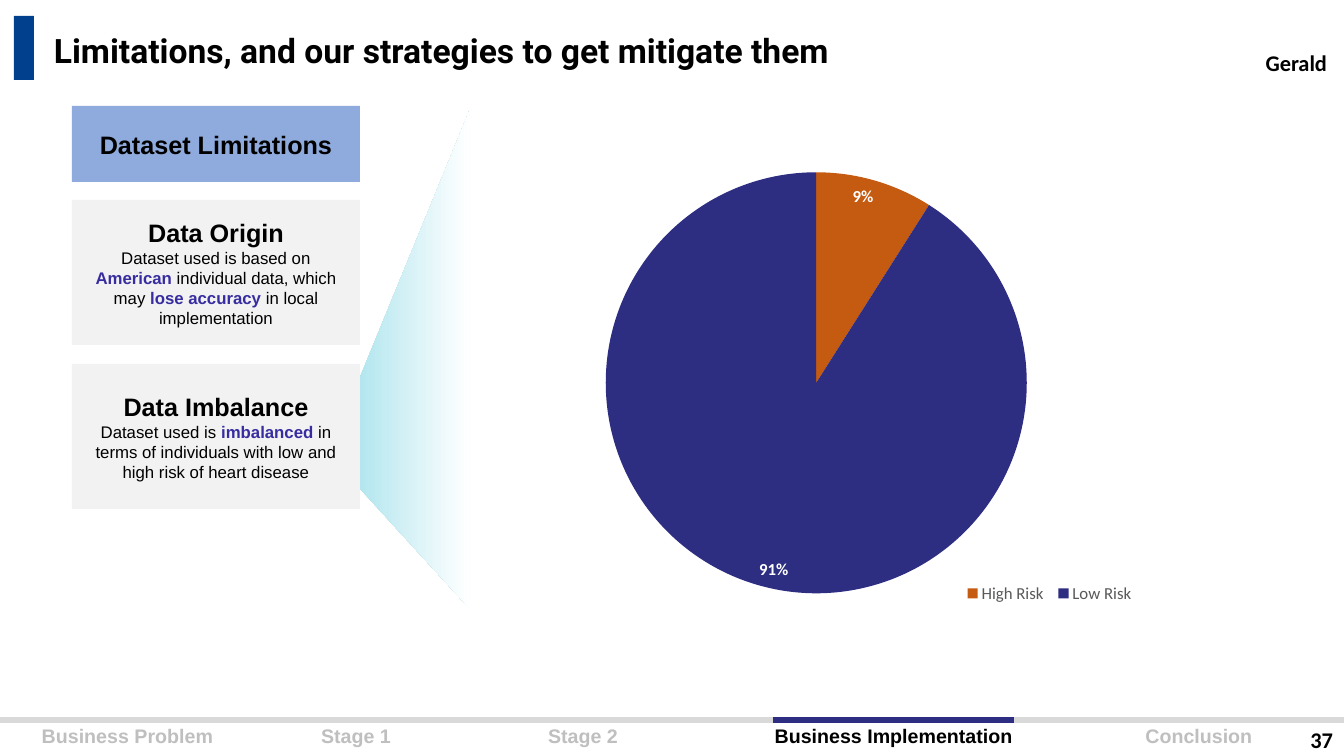
from pptx import Presentation
from pptx.chart.data import CategoryChartData
from pptx.dml.color import RGBColor
from pptx.enum.chart import XL_CHART_TYPE, XL_LABEL_POSITION, XL_LEGEND_POSITION
from pptx.enum.shapes import MSO_CONNECTOR, MSO_SHAPE
from pptx.enum.text import MSO_ANCHOR, PP_ALIGN
from pptx.oxml import parse_xml
from pptx.oxml.ns import nsdecls
from pptx.oxml.xmlchemy import OxmlElement
from pptx.util import Pt

THEME = {
    "black": RGBColor.from_string("000000"),
    "white": RGBColor.from_string("FFFFFF"),
    "accent": RGBColor.from_string("00408D"),
    "navy": RGBColor.from_string("2D2D82"),
    "orange": RGBColor.from_string("C55A11"),
    "highlight": RGBColor.from_string("372DA0"),
    "header": RGBColor.from_string("8FAADC"),
    "card": RGBColor.from_string("F2F2F2"),
    "beam": RGBColor.from_string("9EDFEA"),
    "track": RGBColor.from_string("D9D9D9"),
    "muted": RGBColor.from_string("BFBFBF"),
    "legend": RGBColor.from_string("595959"),
    "title size": Pt(24),
    "heading size": Pt(18),
    "label size": Pt(16),
    "stage size": Pt(14),
    "body size": Pt(12),
    "line width": Pt(4.5),
    "body font": "Arial",
    "title font": "Roboto",
    "label font": "Calibri",
}
SCALE = 914400 / 100.8


def px(*lengths):
    return [round(length * SCALE) for length in lengths]


def add_text(frame, runs, size, font="body font", color="black", bold=True,
             align=PP_ALIGN.CENTER, anchor=MSO_ANCHOR.TOP, new=False):
    """Write one paragraph; each run is plain text or a (text, highlighted) pair."""
    frame.word_wrap = True
    frame.vertical_anchor = anchor
    paragraph = frame.add_paragraph() if new else frame.paragraphs[0]
    paragraph.alignment = align
    for text, highlighted in runs if isinstance(runs, list) else [(runs, False)]:
        run = paragraph.add_run()
        run.text = text
        run.font.size = THEME[size]
        run.font.name = THEME[font]
        run.font.bold = bold or highlighted
        run.font.color.rgb = THEME["highlight" if highlighted else color]


presentation = Presentation()
presentation.slide_width, presentation.slide_height = px(1344, 756)
slide = presentation.slides.add_slide(presentation.slide_layouts[6])
shapes = slide.shapes

# Stage names along the foot
stages = [("Business Problem", 255), ("Stage 1", 202), ("Stage 2", 252),
          ("Business Implementation ", 375), ("Conclusion", 230)]
current_stage = 3
table = shapes.add_table(1, len(stages), *px(0, 721, 1314, 33)).table
table.first_row = table.horz_banding = False
for index, (stage, width) in enumerate(stages):
    table.columns[index].width = px(width)[0]
    cell = table.cell(0, index)
    cell.fill.background()
    add_text(cell.text_frame, stage, "stage size",
             color="black" if index == current_stage else "muted")
    cell.vertical_anchor = MSO_ANCHOR.TOP

# Progress track with the current stage marked
for start, end, color in [(0, 1344, "track"), (773, 1014, "navy")]:
    line = shapes.add_connector(MSO_CONNECTOR.STRAIGHT, *px(start, 720, end, 720))
    line.line.color.rgb = THEME[color]
    line.line.width = THEME["line width"]
    line._element.spPr.append(OxmlElement("a:effectLst"))

# Beam from the imbalance card to the chart
beam = shapes.add_shape(MSO_SHAPE.ISOSCELES_TRIANGLE, *px(150, 289, 498, 141))
beam.rotation = 270
beam.adjustments[0] = 0.31
beam.shadow.inherit = False
beam.line.fill.background()
beam.fill.gradient()
beam.fill.gradient_angle = 270
for stop, color in zip(beam.fill.gradient_stops, ["beam", "white"]):
    stop.color.rgb = THEME[color]

# Title bar and limitation cards: bounds, fill, heading, body
blocks = [
    ((14, 16, 20, 64), "accent", None, None),
    ((72, 106, 288, 76), "header", "Dataset Limitations", None),
    ((72, 200, 288, 145), "card", "Data Origin",
     [("Dataset used is based on ", False), ("American", True),
      (" individual data, which may ", False), ("lose accuracy", True),
      (" in local implementation", False)]),
    ((72, 364, 288, 145), "card", "Data Imbalance",
     [("Dataset used is ", False), ("imbalanced", True),
      (" in terms of individuals with low and high risk of heart disease", False)]),
]
for bounds, fill, heading, body in blocks:
    block = shapes.add_shape(MSO_SHAPE.RECTANGLE, *px(*bounds))
    block.shadow.inherit = False
    block.fill.solid()
    block.fill.fore_color.rgb = THEME[fill]
    block.line.fill.background()
    if heading:
        add_text(block.text_frame, heading, "heading size", anchor=MSO_ANCHOR.MIDDLE)
    if body:
        add_text(block.text_frame, body, "body size", bold=False,
                 anchor=MSO_ANCHOR.MIDDLE, new=True)

# Title, presenter and page number
labels = [
    ((44, 25, 1105, 50), "Limitations, and our strategies to get mitigate them",
     "title size", "title font", PP_ALIGN.LEFT),
    ((1035, 44, 302, 40), "Gerald", "label size", "label font", PP_ALIGN.RIGHT),
    ((1041, 721, 302, 35), "37", "label size", "label font", PP_ALIGN.RIGHT),
]
for bounds, text, size, font, align in labels:
    box = shapes.add_textbox(*px(*bounds))
    add_text(box.text_frame, text, size, font=font, align=align)

# Risk share pie
data = CategoryChartData()
data.categories = ["High Risk", "Low Risk"]
data.add_series("Series 1", (9, 91))
chart = shapes.add_chart(XL_CHART_TYPE.PIE, *px(419, 135, 729, 533), data).chart
chart.has_title = False
chart.font.name = THEME["label font"]
chart.font.size = THEME["body size"]
chart.font.color.rgb = THEME["legend"]
plot = chart.plots[0]
plot.vary_by_categories = True
for index, color in enumerate(["orange", "navy"]):
    point = plot.series[0].points[index]
    point.format.fill.solid()
    point.format.fill.fore_color.rgb = THEME[color]
    point.format.line.fill.background()

plot.has_data_labels = True
data_labels = plot.data_labels
data_labels.show_percentage = True
data_labels.show_value = False
data_labels.number_format = "0%"
data_labels.number_format_is_linked = False
data_labels.position = XL_LABEL_POSITION.INSIDE_END
data_labels.font.name = THEME["label font"]
data_labels.font.size = THEME["body size"]
data_labels.font.bold = True
data_labels.font.color.rgb = THEME["white"]

chart.has_legend = True
chart.legend.position = XL_LEGEND_POSITION.TOP
chart.legend.include_in_layout = False

# Fixed places for the pie and its legend, as shares of the chart
plot_area = chart._chartSpace.chart.plotArea
legend = chart.legend._element
for parent, target, (left, top, width, height) in [
    (plot_area, '<c:layoutTarget val="inner"/>', (0.23, 0.07, 0.63, 0.79)),
    (legend, "", (0.74, 0.83, 0.25, 0.06)),
]:
    for old_layout in parent.findall("{*}layout"):
        parent.remove(old_layout)
    layout = parse_xml(
        f'<c:layout {nsdecls("c")}><c:manualLayout>{target}'
        '<c:xMode val="edge"/><c:yMode val="edge"/>'
        f'<c:x val="{left}"/><c:y val="{top}"/><c:w val="{width}"/><c:h val="{height}"/>'
        "</c:manualLayout></c:layout>")
    parent.insert(0 if parent is plot_area else 1, layout)

presentation.save("out.pptx")
